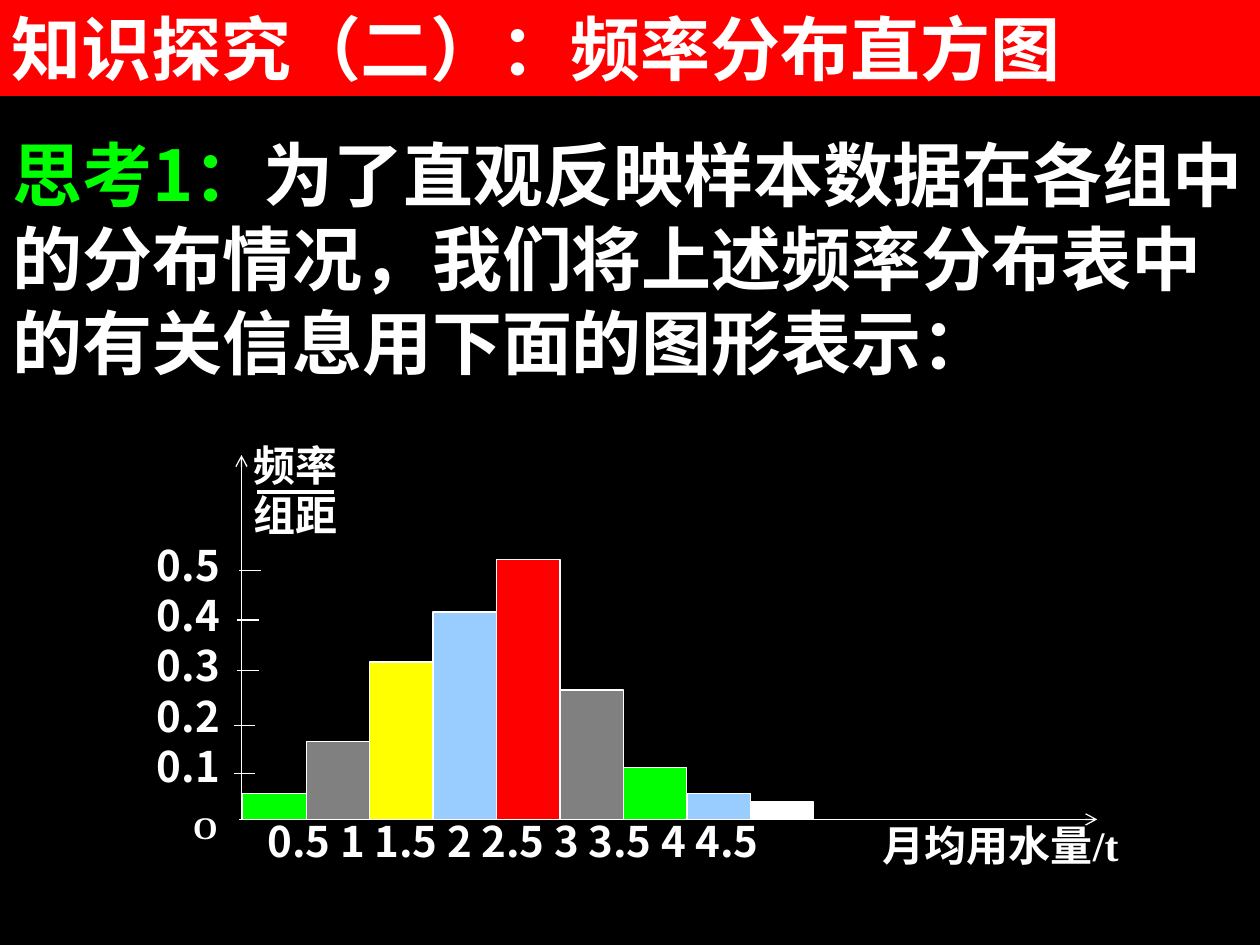
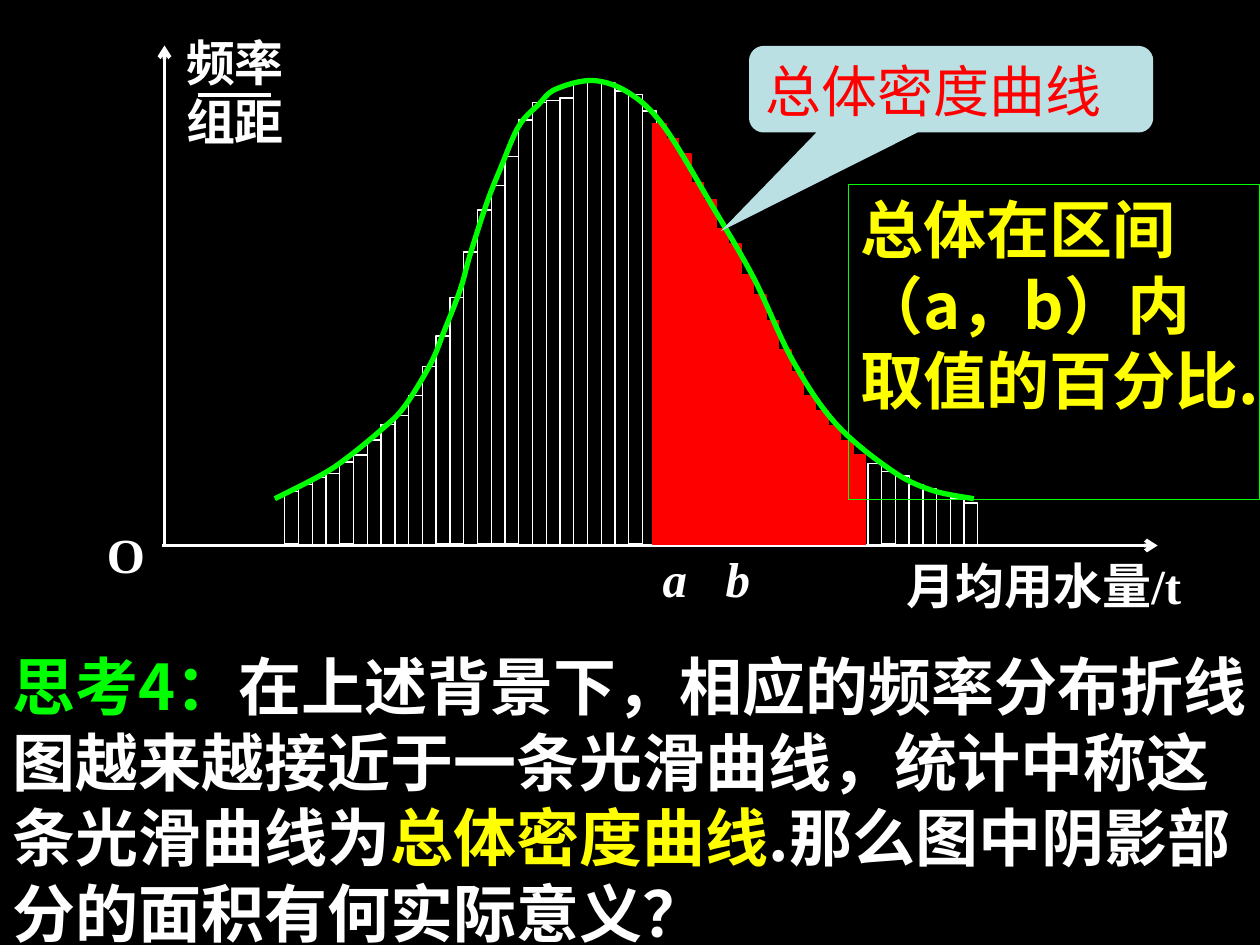
from dataclasses import dataclass

import pptx
import pptx.dml.color
import pptx.enum.shapes
import pptx.enum.text
import pptx.oxml
import pptx.oxml.ns
import pptx.util
from lxml import etree

Pt = pptx.util.Pt
RGB = pptx.dml.color.RGBColor.from_string
SHAPE = pptx.enum.shapes.MSO_SHAPE
qn = pptx.oxml.ns.qn


@dataclass(frozen=True)
class Theme:
    """Colours, fonts and type sizes shared by both slides."""
    black: str = "000000"
    white: str = "FFFFFF"
    red: str = "FF0000"
    green: str = "00FF00"
    yellow: str = "FFFF00"
    sky: str = "99CCFF"
    gray: str = "808080"
    callout: str = "BBE0E3"
    sans: str = "Noto Sans CJK SC"
    serif: str = "Times New Roman"
    plain: str = "Arial"
    heading: int = 40
    question: int = 36
    callout_size: int = 32
    large_label: int = 28
    label: int = 24
    origin_label: int = 18
    thin: float = 0.75
    axis: float = 2.25
    curve: float = 3
    line_height: float = 1.2


THEME = Theme()

FREQUENCY_BARS = [
    (15, THEME.green), (44.5, THEME.gray), (90, THEME.yellow),
    (118.5, THEME.sky), (148.5, THEME.red), (74, THEME.gray),
    (29.5, THEME.green), (15, THEME.sky), (10, THEME.white),
]
TICKS = [(136.5, 326), (135.25, 354.25), (135.25, 383.25), (133.5, 414.5), (133.5, 442)]

TOPS_BEFORE_A = [
    281, 277, 273, 270.5, 264, 260, 251.5, 242.5, 237.5, 226, 209.5, 192, 170, 144,
    120, 106, 89.5, 68.5, 58.5, 57.5, 56, 47, 46, 47.5, 52, 54, 63.5,
]
TOPS_A_TO_B = [
    70.5, 79, 88, 104.5, 114, 130.5, 139.5, 157, 168.5, 183, 200, 212.5, 226,
    234.5, 243.5, 252, 260,
]
TOPS_AFTER_B = [265, 269.5, 272, 277, 279.5, 281.5, 284.5, 287.5]
DENSITY_KNOTS = [
    (157, 285), (183.5, 271.5), (198.5, 261.5), (218, 245.5), (231, 232.5),
    (246, 208), (253.5, 190), (263, 165.5), (268.5, 146), (278, 116.5),
    (286.5, 95), (296.5, 72), (307.5, 60), (317.5, 51), (339, 46), (360, 53.5),
    (379.5, 72.5), (406, 116), (430.5, 158.5), (453, 206), (477.5, 242),
    (509, 268.5), (532, 280), (556.5, 285),
]


def place(shape, left, top, width, height):
    """Move and size a shape."""
    shape.left, shape.top = Pt(left), Pt(top)
    shape.width, shape.height = Pt(width), Pt(height)


def write(frame, paragraphs, size, font=THEME.sans, bold=True, italic=False, tab=None):
    """Fill a frame with paragraphs, each a list of (text, colour) pieces."""
    frame.word_wrap = True
    frame.auto_size = pptx.enum.text.MSO_AUTO_SIZE.NONE
    frame.vertical_anchor = pptx.enum.text.MSO_ANCHOR.TOP
    frame.margin_left = frame.margin_right = Pt(7.2)
    frame.margin_top = frame.margin_bottom = Pt(3.6)
    for number, pieces in enumerate(paragraphs):
        paragraph = frame.add_paragraph() if number else frame.paragraphs[0]
        properties = paragraph._p.get_or_add_pPr()
        properties.set("marL", "0")
        properties.set("indent", "0")
        etree.SubElement(properties, qn("a:buNone"))
        if tab:
            stops = etree.SubElement(properties, qn("a:tabLst"))
            etree.SubElement(stops, qn("a:tab"), pos=str(Pt(tab)), algn="l")
        paragraph.alignment = pptx.enum.text.PP_ALIGN.LEFT
        paragraph.space_before = Pt(0)
        paragraph.line_spacing = Pt(THEME.line_height * size)
        for text, colour in pieces:
            run = paragraph.add_run()
            run.text = text
            run.font.size = Pt(size)
            run.font.bold = bold
            run.font.italic = italic
            run.font.color.rgb = RGB(colour)
            run.font.name = font
            east_asian = etree.SubElement(run._r.get_or_add_rPr(), qn("a:ea"))
            east_asian.set("typeface", THEME.sans)


def add_label(slide, left, top, width, height, lines, size, **style):
    """Add white text, one paragraph per line."""
    box = slide.shapes.add_textbox(Pt(left), Pt(top), Pt(width), Pt(height))
    write(box.text_frame, [[(line, THEME.white)] for line in lines], size, **style)


def add_box(slide, kind, left, top, width, height, fill=None, line=None):
    """Add a preset shape with an optional fill and thin outline."""
    shape = slide.shapes.add_shape(kind, Pt(left), Pt(top), Pt(width), Pt(height))
    shape.shadow.inherit = False
    if fill:
        shape.fill.solid()
        shape.fill.fore_color.rgb = RGB(fill)
    else:
        shape.fill.background()
    if line:
        shape.line.color.rgb = RGB(line)
        shape.line.width = Pt(THEME.thin)
    else:
        shape.line.fill.background()
    return shape


def add_line(slide, start, end, width, arrow=False):
    """Add a straight white line, with an arrowhead at its end if asked."""
    line = slide.shapes.add_connector(
        pptx.enum.shapes.MSO_CONNECTOR.STRAIGHT, *map(Pt, start + end))
    line.line.color.rgb = RGB(THEME.white)
    line.line.width = Pt(width)
    if arrow:
        etree.SubElement(line.line._get_or_add_ln(), qn("a:tailEnd")).set("type", "arrow")
    etree.SubElement(line._element.spPr, qn("a:effectLst"))


def add_axes(slide, corner, right, top, width):
    """Add the two arrows that meet at the corner."""
    x, y = corner
    add_line(slide, (x - 1.5, y), (right, y), width, arrow=True)
    add_line(slide, (x, y), (x, top), width, arrow=True)


def add_axis_fraction(slide, left, top, size, bar_start, bar_end):
    """Add the vertical axis title as a fraction."""
    add_label(slide, left, top, size * 3, size * 3, ["频率", "组距"], size, font=THEME.serif)
    add_line(slide, bar_start, bar_end, THEME.axis)


def add_bars(slide, left, step, bottom, tops, fill, line):
    """Add a row of evenly spaced narrow bars standing on one base line."""
    for index, top in enumerate(tops):
        add_box(slide, SHAPE.RECTANGLE, left + index * step, top, 7.9, bottom - top, fill, line)


def bend(outline):
    """Turn the straight segments of an outline into smooth Bézier segments."""
    points = [(int(pt.get("x")), int(pt.get("y"))) for pt in outline.iter(qn("a:pt"))]
    padded = [points[0], *points, points[-1]]
    segments = outline.findall(qn("a:lnTo"))
    for segment, a, b, c, d in zip(segments, padded, padded[1:], padded[2:], padded[3:]):
        leaving = [q + (r - p) / 6 for p, q, r in zip(a, b, c)]
        arriving = [q - (r - p) / 6 for p, q, r in zip(b, c, d)]
        bezier = etree.Element(qn("a:cubicBezTo"))
        for x, y in (leaving, arriving, c):
            etree.SubElement(bezier, qn("a:pt"), x=str(round(x)), y=str(round(y)))
        outline.replace(segment, bezier)


def add_curve(slide, knots):
    """Add the green density curve."""
    start, *rest = [(Pt(x), Pt(y)) for x, y in knots]
    builder = slide.shapes.build_freeform(*start, scale=1.0)
    builder.add_line_segments(rest, close=False)
    curve = builder.convert_to_shape()
    bend(next(curve._element.iter(qn("a:path"))))
    curve.shadow.inherit = False
    curve.fill.background()
    curve.line.color.rgb = RGB(THEME.green)
    curve.line.width = Pt(THEME.curve)


def add_question(slide, top, height, pieces, size):
    """Put the question in the body placeholder, across the slide."""
    question = slide.placeholders[1]
    place(question, 0, top, 720, height)
    write(question.text_frame, [pieces], size)


def build_histogram(prs):
    """Build the slide with the frequency histogram."""
    slide = prs.slides.add_slide(prs.slide_layouts[1])
    heading = slide.shapes.title
    place(heading, -0.75, -0.75, 721, 55.5)
    heading.fill.solid()
    heading.fill.fore_color.rgb = RGB(THEME.red)
    write(heading.text_frame, [[("知识探究（二）：频率分布直方图", THEME.white)]], THEME.heading)
    add_question(slide, 71.5, 151, [
        ("思考1：", THEME.green),
        ("为了直观反映样本数据在各组中的分布情况，我们将上述频率分布表中的有关信息用下面的图形表示：",
         THEME.white),
    ], THEME.heading)

    add_label(slide, 497.5, 465, 164, 45, ["月均用水量/t"], THEME.label, font=THEME.serif)
    add_axis_fraction(slide, 138, 247.5, THEME.label, (147, 281), (191, 281))
    add_label(slide, 82.5, 304.5, 73, 163, ["0.5", "0.4", "0.3", "0.2", "0.1"], THEME.label)
    add_label(slide, 145.75, 462.25, 390, 45, ["0.5 1 1.5 2 2.5 3 3.5 4 4.5"], THEME.label)
    add_label(slide, 103.25, 458, 36, 45, ["O"], THEME.origin_label, font=THEME.serif)
    add_axes(slide, (138, 468.25), 627, 260, THEME.thin)
    for x, y in TICKS:
        add_line(slide, (x, y), (x + 12.5, y), THEME.thin)
    for index, (height, colour) in enumerate(FREQUENCY_BARS):
        add_box(slide, SHAPE.RECTANGLE, 138.75 + index * 36.25, 468.25 - height, 36.25, height,
                colour, THEME.white)


def build_density_curve(prs):
    """Build the slide with the population density curve."""
    slide = prs.slides.add_slide(prs.slide_layouts[1])
    heading = slide.shapes.title._element
    heading.getparent().remove(heading)

    add_label(slide, 511, 314, 189, 48, ["月均用水量/t"], THEME.large_label, font=THEME.serif)
    add_axis_fraction(slide, 99.25, 15, THEME.large_label, (113, 54.5), (155, 54.5))
    add_label(slide, 371.5, 309.75, 142, 49, ["a\tb"], THEME.large_label,
              font=THEME.serif, italic=True, tab=104.5)
    add_label(slide, 54, 296, 42, 70, ["O"], THEME.large_label, font=THEME.serif)
    add_axes(slide, (94, 311.75), 661.5, 26, THEME.axis)
    add_bars(slide, 162.75, 7.86, 311, TOPS_BEFORE_A, None, THEME.white)
    add_bars(slide, 372.75, 7.13, 311, TOPS_A_TO_B, THEME.red, THEME.red)
    add_bars(slide, 496, 7.83, 311, TOPS_AFTER_B, None, THEME.white)
    add_curve(slide, DENSITY_KNOTS)

    curve_name = add_box(slide, SHAPE.ROUNDED_RECTANGULAR_CALLOUT, 428, 26.25, 231, 49.5,
                         THEME.callout)
    for index, value in enumerate((-0.57, 1.64, 0.17)):
        curve_name.adjustments[index] = value
    write(curve_name.text_frame, [[("总体密度曲线", THEME.red)]], THEME.callout_size,
          font=THEME.plain, bold=False)
    add_question(slide, 366.5, 180, [
        ("思考4：", THEME.green),
        ("在上述背景下，相应的频率分布折线图越来越接近于一条光滑曲线，统计中称这条光滑曲线为", THEME.white),
        ("总体密度曲线", THEME.yellow),
        (".那么图中阴影部分的面积有何实际意义？", THEME.white),
    ], THEME.question)
    meaning = add_box(slide, SHAPE.RECTANGLE, 484.75, 105.5, 235.25, 180, line=THEME.green)
    write(meaning.text_frame, [[("总体在区间（a，b）内取值的百分比.", THEME.yellow)]],
          THEME.question)


def main():
    """Build both slides and save them."""
    prs = pptx.Presentation()
    prs.slide_width, prs.slide_height = Pt(720), Pt(540)
    backdrop = prs.slide_master.background.fill
    backdrop.solid()
    backdrop.fore_color.rgb = RGB(THEME.black)
    build_histogram(prs)
    build_density_curve(prs)
    prs.save("out.pptx")


if __name__ == "__main__":
    main()
